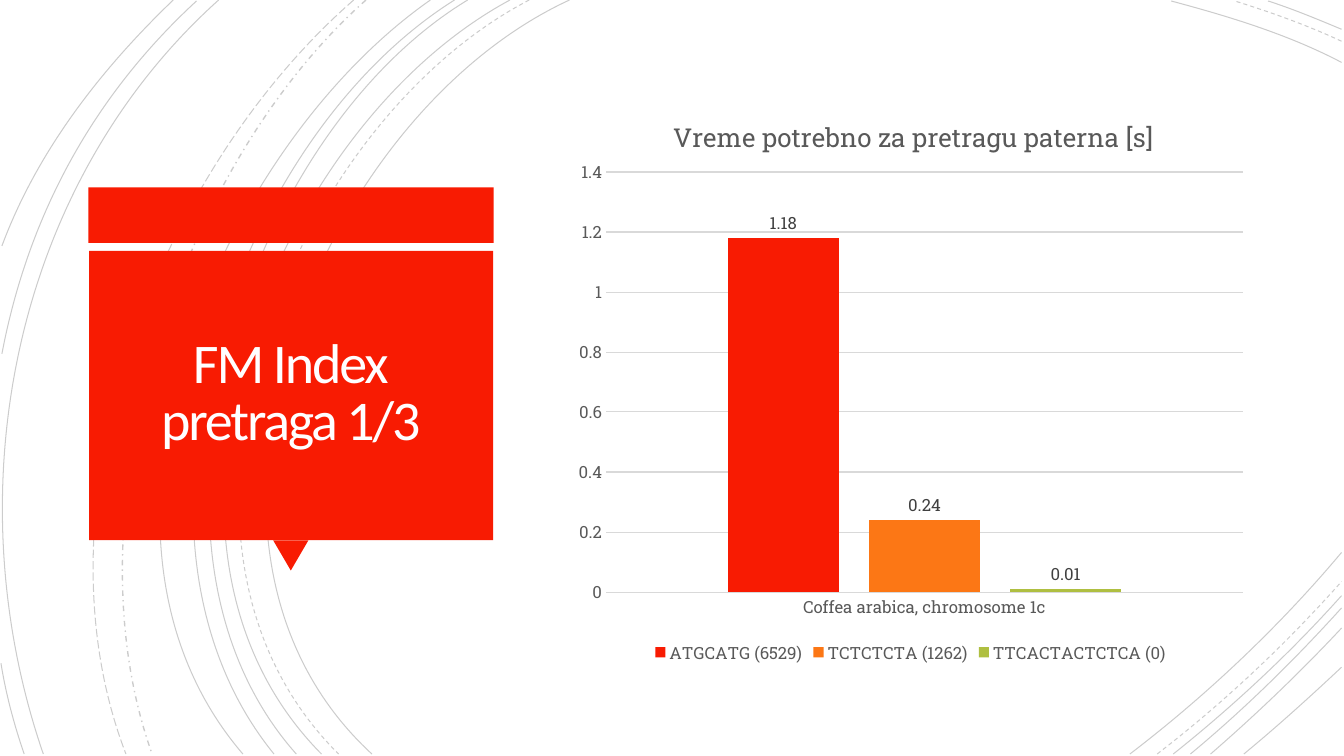
from lxml.etree import SubElement
from pptx import Presentation
from pptx.chart.data import CategoryChartData
from pptx.dml.color import RGBColor
from pptx.enum.chart import XL_CHART_TYPE, XL_LABEL_POSITION, XL_LEGEND_POSITION, XL_TICK_MARK
from pptx.enum.dml import MSO_LINE
from pptx.enum.shapes import MSO_SHAPE
from pptx.enum.text import MSO_ANCHOR, MSO_AUTO_SIZE, PP_ALIGN
from pptx.oxml.ns import qn
from pptx.util import Pt

RED, ORANGE, GREEN = "F81B02", "FC7715", "AFBF41"
BLACK, GREY, DARK, RULE, WHITE = "000000", "595959", "404040", "D9D9D9", "FFFEFF"
BOTTOM, RIGHT = 538.6, 958.3
SOLID, DASH = MSO_LINE.SOLID, MSO_LINE.DASH

# start x, two control points, end x; from the top edge to the bottom edge
SWEEPS = [
    (406.8, (226.8, 82.8), (103, 388.8), 265.7, SOLID),
    (378, (205.2, 90), (88.6, 386.6), 241.9, DASH),
    (364.3, (194.4, 91.4), (79.2, 386.6), 229.7, SOLID),
    (334.1, (175.7, 95.8), (79.2, 389.5), 211.7, SOLID),
    (324.7, (166.3, 99.4), (69.8, 383.8), 195.8, SOLID),
    (307.4, (156.2, 105.8), (38.2, 380.9), 173.5, SOLID),
    (261.4, (126.7, 119.5), (46.8, 366.5), 108.7, MSO_LINE.DASH_DOT),
    (252.7, (113, 121.7), (20.9, 359.3), 90, MSO_LINE.LONG_DASH),
    (156.2, (7.9, 133.2), (-33.1, 352.8), 31, SOLID),
]
# start y on the right edge, two control points, end x at the top
TOP_RIGHT_ARCS = [
    (44.6, (920.2, 24.5), (877, 11.5), 836.6, SOLID),
    (29.5, (933.8, 18), (907.2, 8.6), 882, DASH),
    (20.9, (941, 13.7), (923.8, 6.5), 905.8, SOLID),
]
# start x at the bottom, two control points, end y on the right edge
BOTTOM_RIGHT_ARCS = [
    (807.1, (861.8, 496.8), (913.7, 447.8), 394.6, SOLID),
    (826.6, (873.4, 502.6), (918, 460.8), 415.4, DASH),
    (838.1, (880.6, 504.7), (921.6, 466.6), 425.5, SOLID),
    (850.3, (888.5, 506.9), (924.5, 471.6), 434.2, SOLID),
    (864.7, (897.1, 510.5), (928.8, 480.2), 448.6, SOLID),
    (888.5, (912.2, 519.1), (935.3, 498.2), 476.6, SOLID),
]
LEFT_ARCS = [
    [(140.4, 0.7), (66.2, 69.1), (20.2, 154.1), (1.4, 252.7)],
    [(0.7, 473.8), (4.3, 496.1), (10.1, 517.7), (17.3, BOTTOM)],
    [(123.8, 0), (72, 49.7), (26.6, 108), (1.4, 175.7)],
]
SEARCH_TIMES = [
    ("ATGCATG (6529)", 1.18, RED),
    ("TCTCTCTA (1262)", 0.24, ORANGE),
    ("TTCACTACTCTCA (0)", 0.01, GREEN),
]


def color(hex_value):
    return RGBColor.from_string(hex_value)


def apply_format(target, values):
    for name, value in values.items():
        setattr(target, name, value)


def place_manually(parent, index, **fractions):
    """Give a chart part a fixed layout, in fractions of the chart."""
    for old in parent.findall(qn("c:layout")):
        parent.remove(old)
    layout = SubElement(parent, qn("c:layout"))
    parent.insert(index, layout)
    manual = SubElement(layout, qn("c:manualLayout"))
    if "w" in fractions:
        SubElement(manual, qn("c:layoutTarget")).set("val", "inner")
    for axis in "xy":
        SubElement(manual, qn(f"c:{axis}Mode")).set("val", "edge")
    for name, value in fractions.items():
        SubElement(manual, qn(f"c:{name}")).set("val", str(value))


class SlideBuilder:
    heading_font = "Calibri"
    chart_font = "Roboto Slab"

    def __init__(self, page):
        self.page = page

    def style_font(self, font, size, hex_value, name=chart_font):
        apply_format(font, {"size": Pt(size), "name": name, "bold": False})
        font.color.rgb = color(hex_value)

    def curve(self, points, dash=SOLID):
        """Draw a faint cubic curve: start, two control points, end."""
        start, *others = [(Pt(x), Pt(y)) for x, y in points]
        builder = self.page.shapes.build_freeform(*start, scale=1.0)
        builder.add_line_segments(others, close=False)
        arc = builder.convert_to_shape()
        outline = next(arc.element.iter(qn("a:path")))
        bezier = SubElement(outline, qn("a:cubicBezTo"))
        for segment in outline.findall(qn("a:lnTo")):
            bezier.append(segment[0])
            outline.remove(segment)
        arc.shadow.inherit = False
        arc.fill.background()
        arc.line.color.rgb = color(BLACK)
        width = 1 if dash == MSO_LINE.DASH_DOT else 0.75
        apply_format(arc.line, {"width": Pt(width), "dash_style": dash})
        ink = next(arc.line._get_or_add_ln().iter(qn("a:srgbClr")))
        SubElement(ink, qn("a:alpha")).set("val", "20000")

    def block(self, kind, left, top, width, height, rotation=0):
        box = self.page.shapes.add_shape(kind, Pt(left), Pt(top), Pt(width), Pt(height))
        box.shadow.inherit = False
        box.rotation = rotation
        box.fill.solid()
        box.fill.fore_color.rgb = color(RED)
        box.line.fill.background()

    def title(self, text, left, top, width, height):
        box = self.page.shapes.title
        apply_format(box, {"left": Pt(left), "top": Pt(top), "width": Pt(width), "height": Pt(height)})
        frame = box.text_frame
        apply_format(frame, {"word_wrap": True, "auto_size": MSO_AUTO_SIZE.NONE,
                             "vertical_anchor": MSO_ANCHOR.MIDDLE})
        apply_format(frame, {f"margin_{side}": Pt(18) for side in ("left", "top", "right", "bottom")})
        para = frame.paragraphs[0]
        para.text = text
        apply_format(para, {"alignment": PP_ALIGN.CENTER, "line_spacing": 0.85})
        for span in para.runs:
            self.style_font(span.font, 40, WHITE, self.heading_font)
        for properties in box.element.iter(qn("a:rPr")):
            properties.set("spc", "-150")
        self.page.shapes.element.append(box.element)  # bring to front

    def column_chart(self, heading, category, rows, left, top, width, height):
        data = CategoryChartData()
        data.categories = [category]
        for name, value, _ in rows:
            data.add_series(name, [value])
        chart = self.page.shapes.add_chart(
            XL_CHART_TYPE.COLUMN_CLUSTERED, Pt(left), Pt(top), Pt(width), Pt(height), data).chart
        self.style_font(chart.font, 10, BLACK)

        chart.has_title = True
        para = chart.chart_title.text_frame.paragraphs[0]
        span = para.add_run()
        span.text = heading
        self.style_font(span.font, 18.6, GREY)
        place_manually(next(chart.element.iter(qn("c:title"))), 1, x=0.15, y=0.04)
        place_manually(next(chart.element.iter(qn("c:plotArea"))), 0, x=0.06, y=0.144, w=0.92, h=0.726)

        chart.has_legend = True
        apply_format(chart.legend, {"position": XL_LEGEND_POSITION.BOTTOM, "include_in_layout": False})
        self.style_font(chart.legend.font, 12, GREY)

        for axis in (chart.category_axis, chart.value_axis):
            apply_format(axis, {"major_tick_mark": XL_TICK_MARK.NONE, "minor_tick_mark": XL_TICK_MARK.NONE})
            self.style_font(axis.tick_labels.font, 12, GREY)
        apply_format(chart.value_axis, {"minimum_scale": 0, "maximum_scale": 1.4, "major_unit": 0.2})
        chart.value_axis.format.line.fill.background()
        for rule in (chart.category_axis.format.line, chart.value_axis.major_gridlines.format.line):
            rule.color.rgb = color(RULE)
            rule.width = Pt(0.75)

        plot = chart.plots[0]
        apply_format(plot, {"gap_width": 219, "overlap": -27, "vary_by_categories": False})
        for series, (_, _, hex_value) in zip(plot.series, rows):
            series.format.fill.solid()
            series.format.fill.fore_color.rgb = color(hex_value)
            labels = series.data_labels
            apply_format(labels, {"show_value": True, "position": XL_LABEL_POSITION.OUTSIDE_END})
            self.style_font(labels.font, 12, DARK)


def main():
    deck = Presentation()
    apply_format(deck, {"slide_width": Pt(960), "slide_height": Pt(540)})
    builder = SlideBuilder(deck.slides.add_slide(deck.slide_layouts[5]))

    for start, first, second, end, dash in SWEEPS:
        builder.curve([(start, 0), first, second, (end, BOTTOM)], dash)
    for start, first, second, end, dash in TOP_RIGHT_ARCS:
        builder.curve([(RIGHT, start), first, second, (end, 0.7)], dash)
    for start, first, second, end, dash in BOTTOM_RIGHT_ARCS:
        builder.curve([(start, BOTTOM), first, second, (RIGHT, end)], dash)
    for points in LEFT_ARCS:
        builder.curve(points)

    builder.block(MSO_SHAPE.RECTANGLE, 63.2, 133.9, 289.4, 39.6)
    builder.block(MSO_SHAPE.ISOSCELES_TRIANGLE, 195.1, 385.9, 25.2, 21.6, rotation=180)
    builder.block(MSO_SHAPE.RECTANGLE, 63.6, 179.3, 288.7, 206.6)
    builder.title("FM Index\vpretraga 1/3", 69.8, 185, 275.8, 193.7)
    builder.column_chart("Vreme potrebno za pretragu paterna [s]", "Coffea arabica, chromosome 1c",
                         SEARCH_TIMES, 403.2, 63.4, 494.6, 413.3)
    deck.save("out.pptx")


if __name__ == "__main__":
    main()
